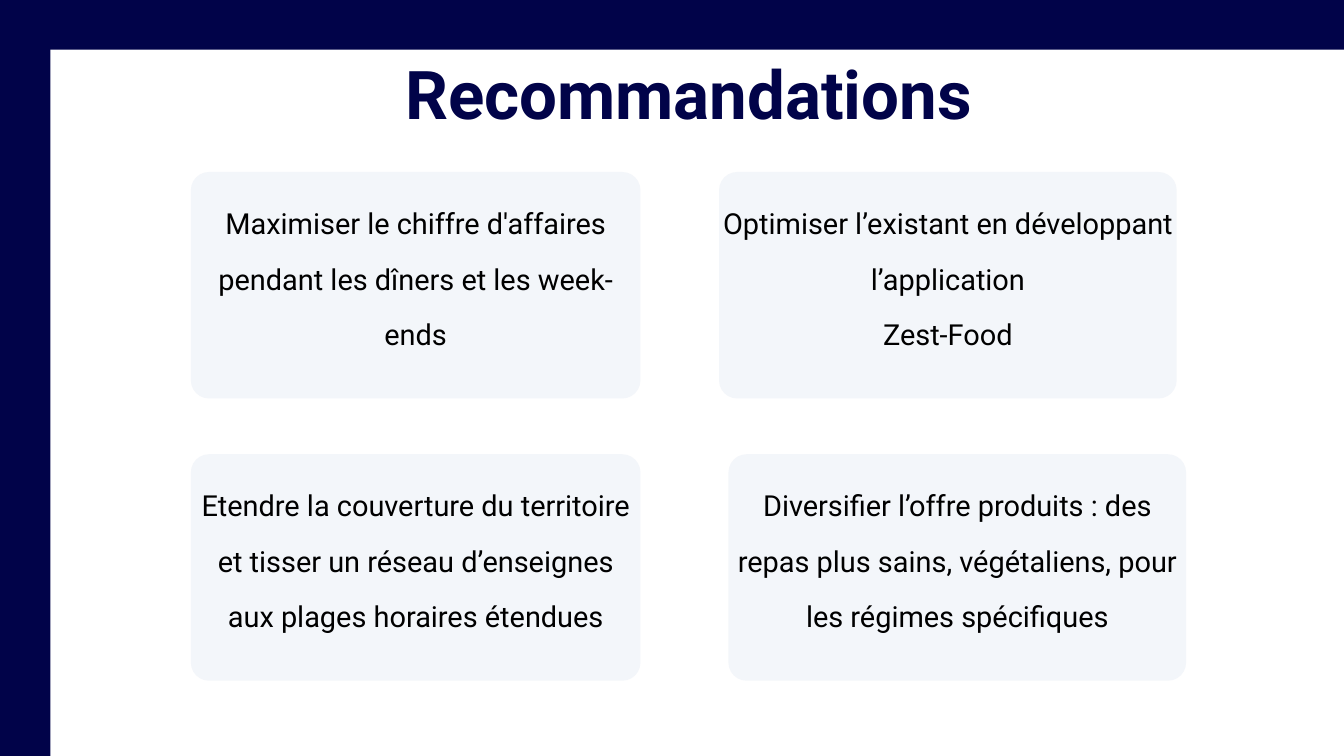
from dataclasses import dataclass

from pptx import Presentation
from pptx.dml.color import RGBColor
from pptx.enum.shapes import MSO_SHAPE as Shape
from pptx.enum.text import MSO_ANCHOR as Anchor, PP_ALIGN as Align
from pptx.util import Inches, Pt


@dataclass(frozen=True)
class Theme:
    navy: str = "010349"
    card: str = "F3F6FA"
    ink: str = "000000"
    font: str = "Roboto"
    title_size: int = 72
    body_size: int = 31


@dataclass(frozen=True)
class Box:
    left: float
    top: float
    width: float
    height: float

    def emu(self) -> tuple:
        return tuple(Inches(v) for v in (self.left, self.top, self.width, self.height))


@dataclass(frozen=True)
class Card:
    box: Box
    text: str


THEME = Theme()
SLIDE_W, SLIDE_H = 20, 11.25
RADIUS = 0.27
TEXT_RISE = 0.51  # the text area starts this far above its card

# Card grid: two rows, the lower right card slightly offset
LEFT_X, LEFT_W, RIGHT_W = 2.84, 6.69, 6.81
ROW_1, ROW_2, CARD_H = 2.56, 6.76, 3.37
CARDS = [
    Card(Box(LEFT_X, ROW_1, LEFT_W, CARD_H),
         "Maximiser le chiffre d'affaires pendant les dîners et les week-ends"),
    Card(Box(10.7, ROW_1, RIGHT_W, CARD_H),
         "Optimiser l’existant en développant l’application\nZest-Food"),
    Card(Box(LEFT_X, ROW_2, LEFT_W, CARD_H),
         "Etendre la couverture du territoire et tisser un réseau d’enseignes "
         "aux plages horaires étendues"),
    Card(Box(10.84, ROW_2, RIGHT_W, CARD_H),
         "Diversifier l’offre produits : des repas plus sains, végétaliens, "
         "pour les régimes spécifiques"),
]


def add_block(s, box: Box, color: str, radius: float = 0) -> None:
    kind = Shape.ROUNDED_RECTANGLE if radius else Shape.RECTANGLE
    sp = s.shapes.add_shape(kind, *box.emu())
    if radius:
        sp.adjustments[0] = radius / min(box.width, box.height)
    sp.shadow.inherit = False
    sp.fill.solid()
    sp.fill.fore_color.rgb = RGBColor.from_string(color)
    sp.line.fill.background()


def add_text(s, box: Box, text: str, *, size: int, color: str, bold: bool = False,
             spacing: float = 1.0, inset: float = 0, anchor=Anchor.TOP) -> None:
    tf = s.shapes.add_textbox(*box.emu()).text_frame
    tf.word_wrap = True
    tf.vertical_anchor = anchor
    tf.margin_left = tf.margin_right = tf.margin_top = tf.margin_bottom = Inches(inset)
    for i, line in enumerate(text.split("\n")):
        p = tf.add_paragraph() if i else tf.paragraphs[0]
        p.alignment = Align.CENTER
        p.line_spacing = spacing
        r = p.add_run()
        r.text = line
        r.font.name = THEME.font
        r.font.size = Pt(size)
        r.font.bold = bold
        r.font.color.rgb = RGBColor.from_string(color)


def add_card(s, card: Card) -> None:
    b = card.box
    add_block(s, b, THEME.card, RADIUS)
    area = Box(b.left, b.top - TEXT_RISE, b.width, b.height + TEXT_RISE)
    add_text(s, area, card.text, size=THEME.body_size, color=THEME.ink,
             spacing=1.6, inset=0.05, anchor=Anchor.MIDDLE)


def main() -> None:
    prs = Presentation()
    prs.slide_width, prs.slide_height = Inches(SLIDE_W), Inches(SLIDE_H)
    s = prs.slides.add_slide(prs.slide_layouts[6])

    # Left and top bands
    add_block(s, Box(0, 0, 0.75, SLIDE_H), THEME.navy)
    add_block(s, Box(0.51, 0, SLIDE_W - 0.51, 0.74), THEME.navy)

    # Recommendation cards
    for card in CARDS:
        add_card(s, card)

    # Title
    add_text(s, Box(5.43, 0.78, 9.64, 1.21), "Recommandations",
             size=THEME.title_size, color=THEME.navy, bold=True)

    prs.save("out.pptx")


if __name__ == "__main__":
    main()
